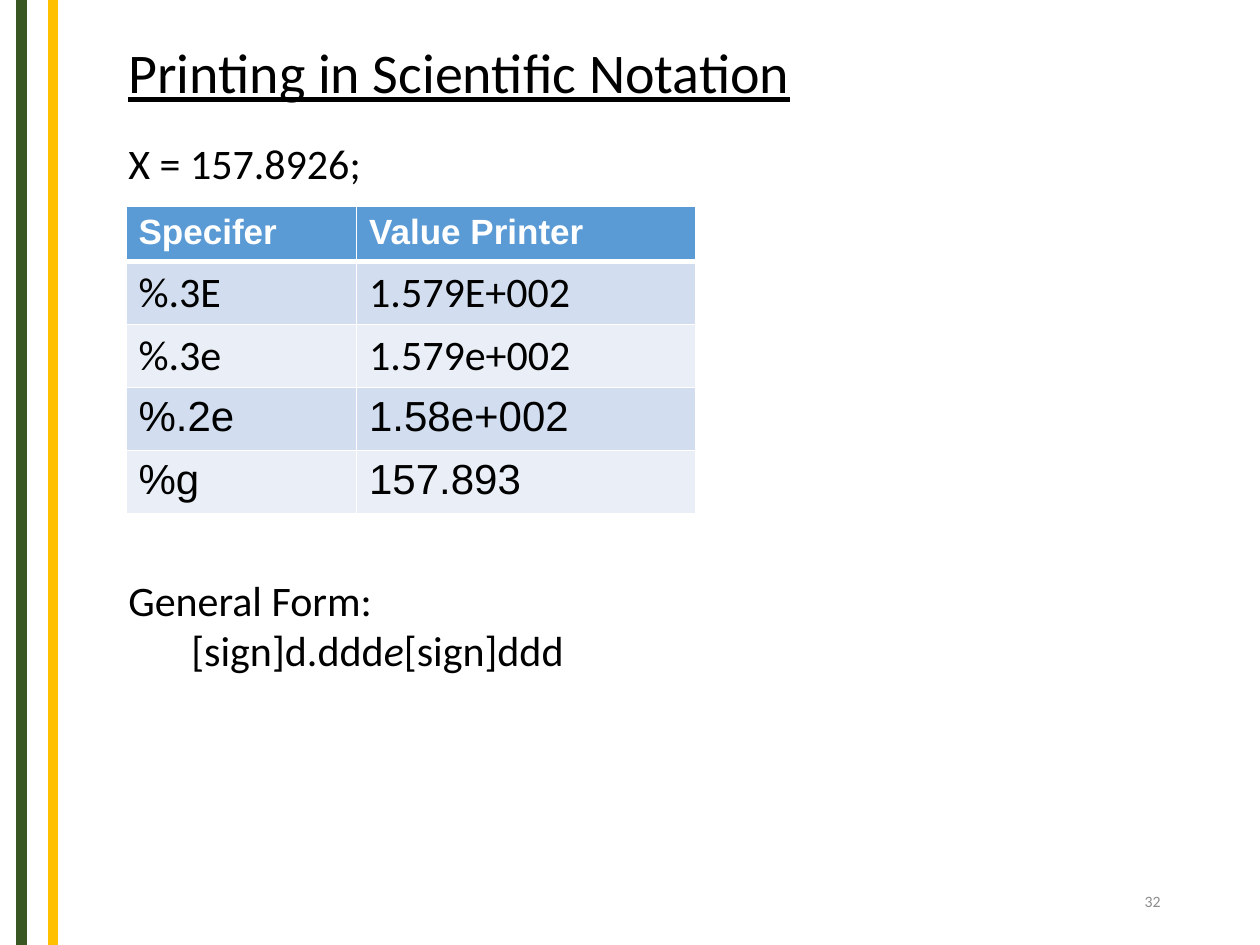
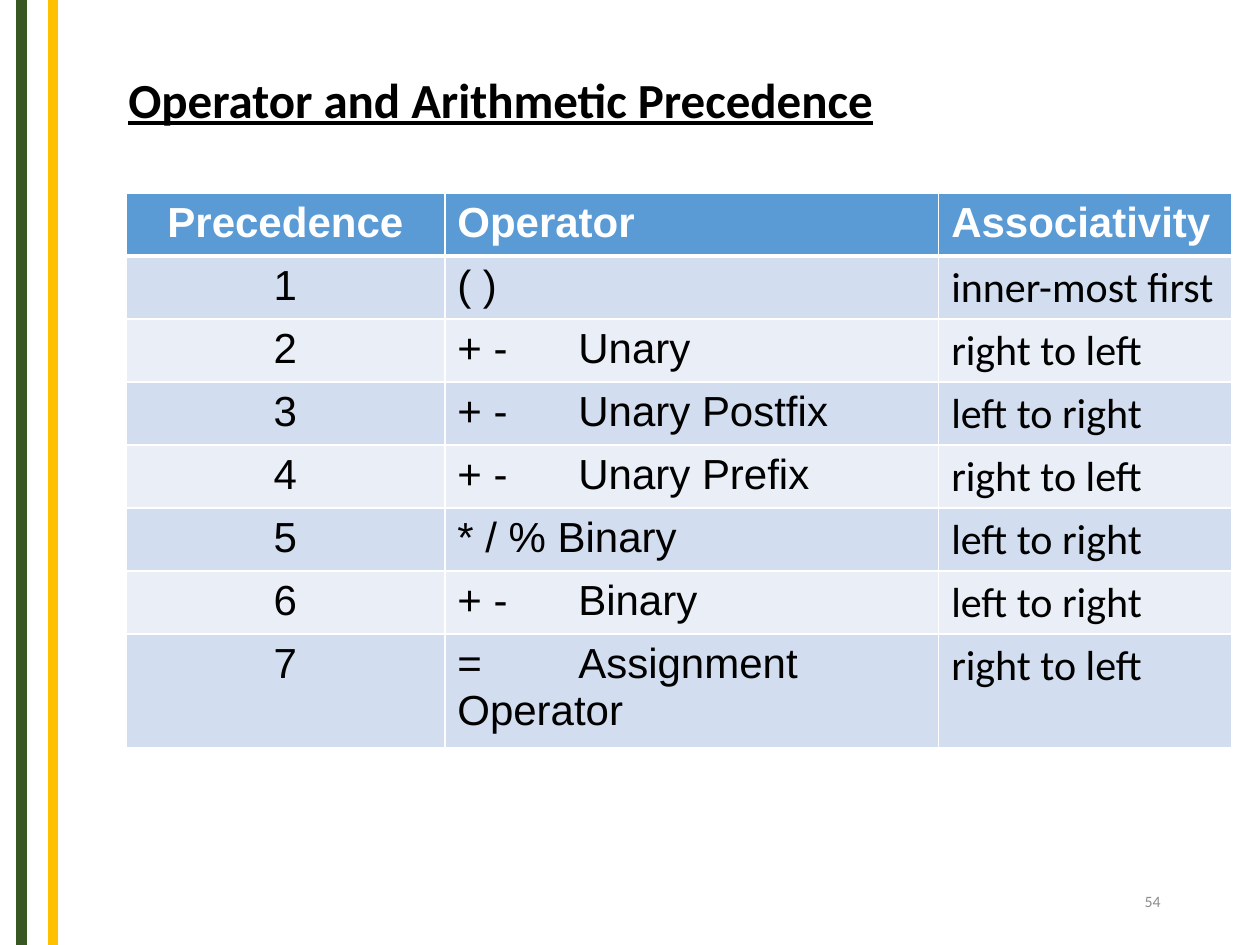
"""Build two lesson slides on number formats and operator precedence."""
import pptx
import pptx.util
import pptx.dml.color
import pptx.enum.shapes
import pptx.enum.text
import pptx.oxml.ns
import lxml.etree

HUES = {
    "green": "385723", "gold": "FFC000", "black": "000000", "gray": "8C8C8C",
    "white": "FFFFFF", "head": "5B9BD5", "dark": "D2DEEF", "light": "EAEFF7",
}
ALIGN = pptx.enum.text.PP_ALIGN


class Deck:
    """Hold the style, the grid and the current slide."""
    cols, rows = 10, 7.5

    def __init__(self):
        self.show = pptx.Presentation()
        self.show.slide_width = pptx.util.Inches(10)
        self.show.slide_height = pptx.util.Inches(7.5)
        self.slide = None

    def x(self, col):
        return round(self.show.slide_width * col / self.cols)

    def y(self, row):
        return round(self.show.slide_height * row / self.rows)

    def tint(self, name):
        return pptx.dml.color.RGBColor.from_string(HUES[name])

    def node(self, root, tag, **attrs):
        return lxml.etree.SubElement(root, pptx.oxml.ns.qn(tag), **attrs)

    def page(self, num):
        self.slide = self.show.slides.add_slide(self.show.slide_layouts[6])
        self.band(0.17, "green")
        self.band(0.42, "gold")
        frame = self.box(7.06, 6.95, 2.25, 0.4)
        frame.vertical_anchor = pptx.enum.text.MSO_ANCHOR.MIDDLE
        self.line(frame, [num], 9, hue="gray").alignment = ALIGN.RIGHT

    def band(self, col, hue):
        kind = pptx.enum.shapes.MSO_CONNECTOR.STRAIGHT
        bar = self.slide.shapes.add_connector(
            kind, self.x(col), 0, self.x(col), self.y(self.rows))
        bar.line.color.rgb = self.tint(hue)
        bar.line.width = pptx.util.Pt(6)
        self.node(bar._element.spPr, "a:effectLst")

    def box(self, col, row, wide, high):
        shape = self.slide.shapes.add_textbox(
            self.x(col), self.y(row), self.x(wide), self.y(high))
        shape.text_frame.word_wrap = True
        return shape.text_frame

    def style(self, para, size, face="Calibri", hue="black", bold=False):
        font = para.font
        font.size, font.name, font.bold = pptx.util.Pt(size), face, bold
        font.color.rgb = self.tint(hue)

    def line(self, frame, parts, size, gap=0, hue="black", bold=False):
        first = frame.paragraphs[0]
        para = frame.add_paragraph() if first.runs else first
        para.space_before = pptx.util.Pt(gap)
        self.style(para, size, hue=hue, bold=bold)
        for part in parts:
            para.add_run().text = part
        return para

    def title(self, frame, text, size, bold=False):
        self.line(frame, [text], size, bold=bold).font.underline = True

    def edge(self, cell, row):
        props = cell._tc.get_or_add_tcPr()
        wide = {"L": 1, "R": 1, "T": 3 if row == 1 else 1, "B": 1 if row else 3}
        for side, width in wide.items():
            rule = self.node(props, "a:ln" + side, w=str(pptx.util.Pt(width)))
            fill = self.node(rule, "a:solidFill")
            self.node(fill, "a:srgbClr", val=HUES["white"])

    def tab(self, para, col):
        stops = lxml.etree.Element(pptx.oxml.ns.qn("a:tabLst"))
        self.node(stops, "a:tab", pos=str(self.x(col)), algn="l")
        para._p.get_or_add_pPr().insert(0, stops)

    def table(self, col, row, wides, highs, data, top, face, mid=()):
        grid = self.slide.shapes.add_table(
            len(data), len(wides), self.x(col), self.y(row),
            self.x(sum(wides)), self.y(sum(highs))).table
        for item, wide in zip(grid.columns, wides):
            item.width = self.x(wide)
        for r, (texts, high) in enumerate(zip(data, highs)):
            grid.rows[r].height = self.y(high)
            for c, text in enumerate(texts):
                cell = grid.cell(r, c)
                self.edge(cell, r)
                cell.fill.solid()
                hue = ("light", "dark")[r % 2] if r else "head"
                cell.fill.fore_color.rgb = self.tint(hue)
                cell.text = text
                para = cell.text_frame.paragraphs[0]
                if r:
                    self.style(para, 24, face(r, c))
                else:
                    self.style(para, top, "Arial", "white", True)
                if c in mid:
                    para.alignment = ALIGN.CENTER
                if "\t" in text:
                    self.tab(para, 0.96)


deck = Deck()

deck.page("32")
body = deck.box(0.92, 0.25, 5.52, 5.22)
deck.title(body, "Printing in Scientific Notation", 32)
deck.line(body, ["X = 157.8926;"], 24, gap=18.4)
deck.line(body, ["General Form:"], 24, gap=221)
form = deck.line(body, ["\t[sign]d.ddd", "e", "[sign]ddd"], 24)
form.runs[1].font.italic = True
deck.table(1, 1.64, [1.83, 2.69], [0.43] + [0.5] * 4, [
    ("Specifer", "Value Printer"),
    ("%.3E", "1.579E+002"),
    ("%.3e", "1.579e+002"),
    ("%.2e", "1.58e+002"),
    ("%g", "157.893"),
], 20, lambda r, c: "Calibri" if r < 3 else "Arial")

deck.page("54")
deck.title(deck.box(0.92, 0.5, 8.08, 1.51),
           "Operator and Arithmetic Precedence", 28, True)
ops = [
    ("( )", "inner-most first"),
    ("+ -\tUnary", "right to left"),
    ("+ -\tUnary Postfix", "left to right"),
    ("+ -\tUnary Prefix", "right to left"),
    ("* / % Binary", "left to right"),
    ("+ -\tBinary", "left to right"),
    ("=\tAssignment Operator", "right to left"),
]
ranks = [(str(n), *op) for n, op in enumerate(ops, 1)]
deck.table(1, 1.53, [2.53, 3.92, 2.33], [0.5] * 7 + [0.9],
           [("Precedence", "Operator", "Associativity")] + ranks, 24,
           lambda r, c: "Calibri" if c == 2 else "Arial", mid=(0,))

deck.show.save("out.pptx")
